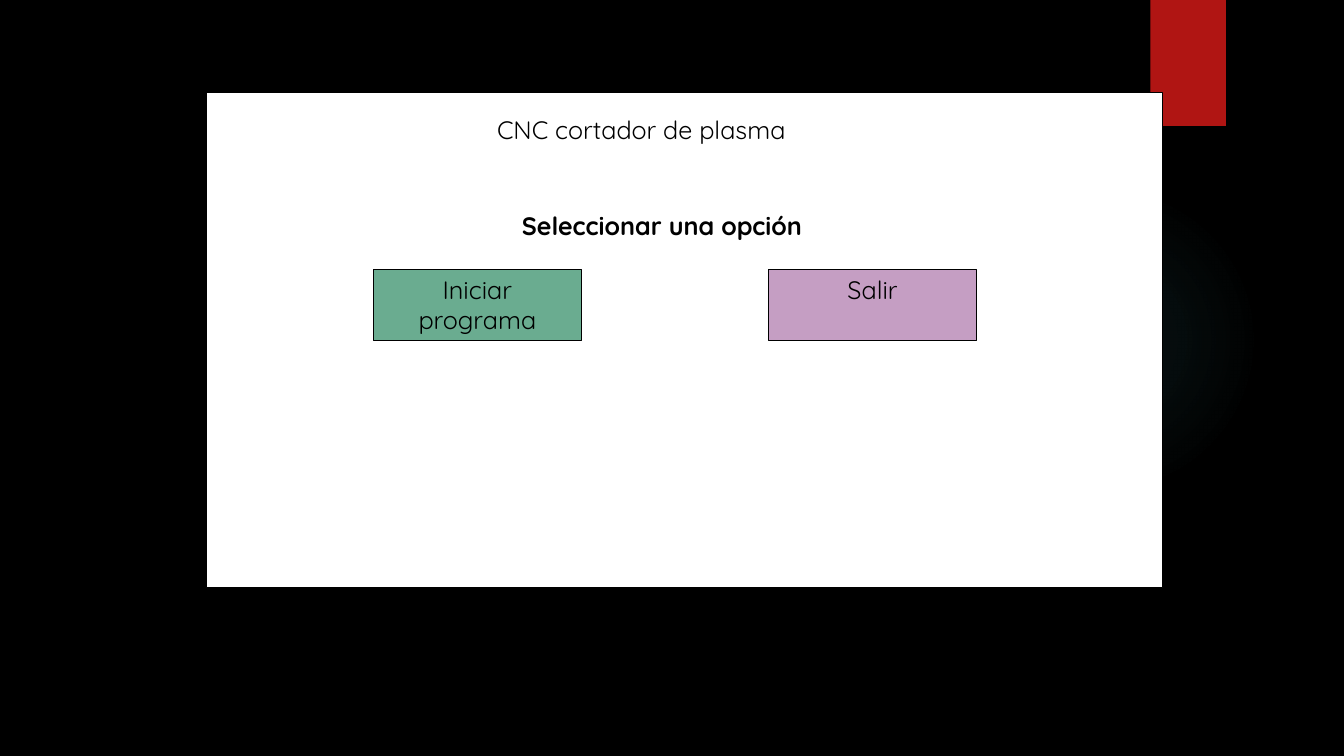
from pptx import Presentation
from pptx import oxml
from pptx.dml.color import RGBColor
from pptx.enum import shapes, text
from pptx.oxml import ns
from pptx.util import Inches, Pt

BLACK = RGBColor(0x00, 0x00, 0x00)
WHITE = RGBColor(0xFF, 0xFF, 0xFF)
RED = RGBColor(0xB0, 0x15, 0x13)
GREEN = RGBColor(0x6A, 0xAC, 0x90)
LILAC = RGBColor(0xC5, 0x9E, 0xC3)
TEAL = RGBColor(0x50, 0xB9, 0xC1)


class MenuSlide:
    font = "Quicksand"
    size = Pt(18)

    def __init__(self, prs):
        self.slide = prs.slides.add_slide(prs.slide_layouts[5])
        background = self.slide.background.fill
        background.solid()
        background.fore_color.rgb = BLACK

    def set_words(self, frame, words, align, bold=False):
        frame.word_wrap = True
        frame.vertical_anchor = text.MSO_ANCHOR.TOP
        frame.text = words
        paragraph = frame.paragraphs[0]
        paragraph.alignment = align
        font = paragraph.runs[0].font
        font.name, font.size, font.bold = self.font, self.size, bold
        font.color.rgb = BLACK

    def block(self, box, fill, outlined=True, kind=shapes.MSO_SHAPE.RECTANGLE):
        shape = self.slide.shapes.add_shape(kind, *map(Inches, box))
        shape.shadow.inherit = False
        shape.fill.solid()
        shape.fill.fore_color.rgb = fill
        if outlined:
            shape.line.color.rgb = BLACK
            shape.line.width = Pt(0.75)
        else:
            shape.line.fill.background()
        return shape

    def glow(self, box, color, stops):
        """Add a circle that fades outwards; stops are (position, opacity) in percent."""
        circle = self.block(box, color, False, shapes.MSO_SHAPE.OVAL)
        steps = "".join(
            f'<a:gs pos="{position * 1000}"><a:srgbClr val="{color}">'
            f'<a:alpha val="{opacity * 1000}"/></a:srgbClr></a:gs>'
            for position, opacity in stops)
        gradient = oxml.parse_xml(
            f'<a:gradFill {ns.nsdecls("a")}><a:gsLst>{steps}</a:gsLst><a:path path="circle">'
            '<a:fillToRect l="50000" t="50000" r="50000" b="50000"/></a:path></a:gradFill>')
        properties = circle._element.spPr
        properties.replace(properties.find(ns.qn("a:solidFill")), gradient)

    def button(self, box, fill, words):
        self.set_words(self.block(box, fill).text_frame, words, text.PP_ALIGN.CENTER)

    def label(self, box, words):
        prompt = self.slide.shapes.add_textbox(*map(Inches, box))
        self.set_words(prompt.text_frame, words, text.PP_ALIGN.CENTER, bold=True)

    def title(self, box, words):
        """Fill the title placeholder and bring it in front of the panel."""
        heading = self.slide.shapes.title
        heading.left, heading.top, heading.width, heading.height = map(Inches, box)
        self.set_words(heading.text_frame, words, text.PP_ALIGN.LEFT)
        heading.text_frame.auto_size = text.MSO_AUTO_SIZE.NONE
        self.slide.shapes._spTree.append(heading._element)


def main():
    prs = Presentation()
    prs.slide_width, prs.slide_height = Inches(13.33), Inches(7.5)
    menu = MenuSlide(prs)
    menu.glow((9.41, 1.83, 3.08, 3.08), TEAL, [(0, 7), (36, 6), (69, 0), (100, 0)])
    menu.block((11.41, 0, 0.75, 1.25), RED, outlined=False)
    menu.block((2.05, 0.92, 9.48, 4.91), WHITE)
    for left, fill, words in [(3.7, GREEN, "Iniciar programa"), (7.62, LILAC, "Salir")]:
        menu.button((left, 2.67, 2.07, 0.71), fill, words)
    menu.label((3.16, 2.04, 6.81, 0.4), "Seleccionar una opción")
    menu.title((4.83, 1.08, 3.91, 0.4), "CNC cortador de plasma")
    prs.save("out.pptx")


if __name__ == "__main__":
    main()
